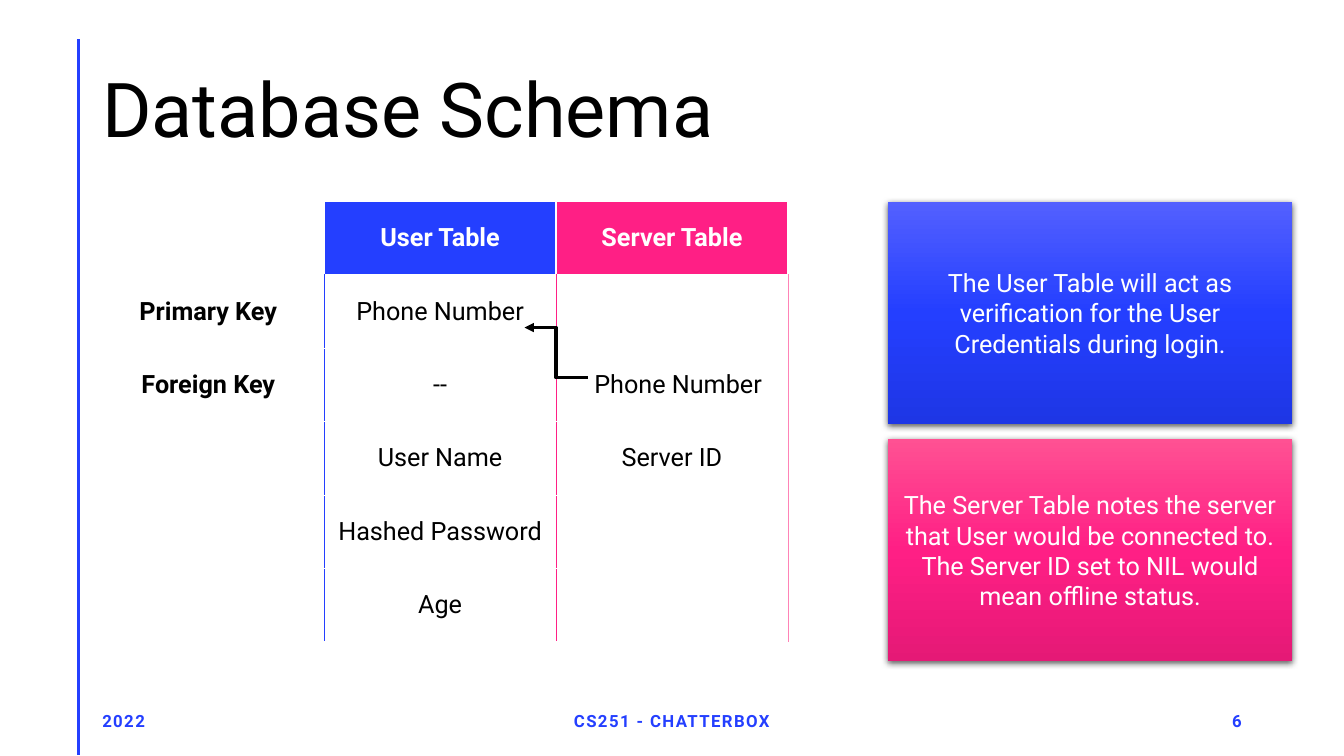
from copy import deepcopy
from dataclasses import dataclass

from lxml import etree
from pptx import Presentation
from pptx.dml.color import RGBColor
from pptx.enum.shapes import MSO_CONNECTOR, MSO_SHAPE
from pptx.enum.text import MSO_ANCHOR, PP_ALIGN
from pptx.oxml.ns import qn
from pptx.util import Pt

STRAIGHT, ELBOW = MSO_CONNECTOR.STRAIGHT, MSO_CONNECTOR.ELBOW
RECTANGLE = MSO_SHAPE.RECTANGLE
MIDDLE = MSO_ANCHOR.MIDDLE
LEFT, CENTER, RIGHT = PP_ALIGN.LEFT, PP_ALIGN.CENTER, PP_ALIGN.RIGHT


@dataclass(frozen=True)
class Theme:
    font: str = "Roboto"
    title_size: int = 54
    body_size: int = 18
    footer_size: int = 12
    black: str = "000000"
    white: str = "FFFFFF"
    blue: str = "243FFF"
    pink: str = "FF1F85"
    light_pink: str = "FF83B6"
    blue_gradient: tuple = ("5360FF", "243FFF", "1E36E5")
    pink_gradient: tuple = ("FF5193", "FF1F85", "E51976")


THEME = Theme()

SCHEMA = [
    ("", "User Table", "Server Table"),
    ("Primary Key", "Phone Number", ""),
    ("Foreign Key", "--", "Phone Number"),
    ("", "User Name", "Server ID"),
    ("", "Hashed Password", ""),
    ("", "Age", ""),
]
NOTES = [
    ("The User Table will act as verification for the User Credentials during login.",
     THEME.blue_gradient),
    ("The Server Table notes the server that User would be connected to. "
     "The Server ID set to NIL would mean offline status.", THEME.pink_gradient),
]


def write(frame, text, size, color, align=LEFT, bold=False):
    """Put one paragraph of formatted text into a frame."""
    frame.text = text
    paragraph = frame.paragraphs[0]
    paragraph.alignment = align
    for run in paragraph.runs:
        run.font.name = THEME.font
        run.font.size = Pt(size)
        run.font.bold = bold
        run.font.color.rgb = RGBColor.from_string(color)
    return paragraph


def add_label(slide, box, text, size, color, align=LEFT, bold=False):
    frame = slide.shapes.add_textbox(*map(Pt, box)).text_frame
    frame.word_wrap = True
    frame.vertical_anchor = MIDDLE
    return write(frame, text, size, color, align, bold)


def add_line(slide, kind, start, end, color, width):
    line = slide.shapes.add_connector(kind, *map(Pt, start + end))
    line.line.color.rgb = RGBColor.from_string(color)
    line.line.width = Pt(width)
    etree.SubElement(line._element.spPr, qn("a:effectLst"))
    return line


def add_color(parent, color):
    return etree.SubElement(parent, qn("a:srgbClr"), val=color)


def set_borders(cell, borders):
    """Draw borders given as {side: (colour, width)}, in the order L, R, T, B."""
    properties = cell._tc.get_or_add_tcPr()
    for side in "LRTB":
        if side in borders:
            color, width = borders[side]
            border = etree.SubElement(properties, qn("a:ln" + side), w=str(Pt(width)))
            add_color(etree.SubElement(border, qn("a:solidFill")), color)


def cell_borders(row, column):
    """Column rules below the header, white gaps between the lower rows."""
    if row == 0:
        return {}
    rules = [(THEME.white, 1), (THEME.blue, 0.5), (THEME.pink, 0.25), (THEME.light_pink, 0.25)]
    borders = {"L": rules[column], "R": rules[column + 1]}
    if row > 1:
        borders["B"] = (THEME.white, 1)
    if row > 2:
        borders["T"] = (THEME.white, 1)
    return borders


def add_heading(slide, box):
    left, top, width, height = box
    # Accent rule beside the title, running down to the slide's bottom
    add_line(slide, STRAIGHT, (left - 10, top - 0.7), (left - 10, 539.3), THEME.blue, 2)
    title = add_label(slide, box, "Database Schema", THEME.title_size, THEME.black)
    title.line_spacing = 0.9


def add_schema(slide, box):
    left, top, width, height = box
    row_count, column_count = len(SCHEMA), len(SCHEMA[0])
    column_width, row_height = width / column_count, height / row_count
    schema = slide.shapes.add_table(row_count, column_count, *map(Pt, box)).table
    schema.first_row = schema.horz_banding = False
    for column in schema.columns:
        column.width = Pt(column_width)
    for row in schema.rows:
        row.height = Pt(row_height)

    # Cells: header fills, bold header row and key column
    header_fills = {1: THEME.blue, 2: THEME.pink}
    for r, values in enumerate(SCHEMA):
        for c, value in enumerate(values):
            cell = schema.cell(r, c)
            set_borders(cell, cell_borders(r, c))
            cell.vertical_anchor = MIDDLE
            if r == 0 and c in header_fills:
                cell.fill.solid()
                cell.fill.fore_color.rgb = RGBColor.from_string(header_fills[c])
            else:
                cell.fill.background()
            write(cell.text_frame, value, THEME.body_size,
                  THEME.white if r == 0 else THEME.black, CENTER, r == 0 or c == 0)
    # Room for the arrow in front of the foreign key
    schema.cell(2, 2).margin_left = Pt(16)

    # Foreign key points to primary key, bending on the column boundary
    boundary = left + 2 * column_width
    reference = add_line(slide, ELBOW, (boundary + 22.5, top + 126),
                         (boundary - 22.5, top + 90), THEME.black, 2.25)
    etree.SubElement(reference.line._get_or_add_ln(), qn("a:tailEnd"), type="triangle")


def add_note(slide, box, text, gradient):
    note = slide.shapes.add_shape(RECTANGLE, *map(Pt, box))
    note.line.fill.background()

    # Three-stop gradient from top to bottom
    note.fill.gradient()
    note.fill.gradient_angle = 270
    stops = note._element.spPr.find(".//" + qn("a:gsLst"))
    stops.append(deepcopy(stops[0]))
    for stop, color, position in zip(note.fill.gradient_stops, gradient, (0, 0.5, 1)):
        stop.color.rgb = RGBColor.from_string(color)
        stop.position = position

    # Soft shadow below
    note.shadow.inherit = False
    effects = note._element.spPr.find(qn("a:effectLst"))
    shadow = etree.SubElement(effects, qn("a:outerShdw"), blurRad=str(Pt(4.5)),
                              dist=str(Pt(1.5)), dir="5400000", algn="ctr", rotWithShape="0")
    etree.SubElement(add_color(shadow, THEME.black), qn("a:alpha"), val="63000")

    note.text_frame.word_wrap = True
    note.text_frame.vertical_anchor = MIDDLE
    write(note.text_frame, text, THEME.body_size, THEME.white, CENTER)


def add_notes(slide, box, gap=10.4):
    left, top, width, height = box
    note_height = (height - gap * (len(NOTES) - 1)) / len(NOTES)
    for i, (text, gradient) in enumerate(NOTES):
        note_top = top + i * (note_height + gap)
        add_note(slide, (left, note_top, width, note_height), text, gradient)


def add_footer(slide, box):
    left, top, width, height = box
    side, middle = 216, 324
    parts = [
        ("2022", left, side, LEFT),
        ("CS251 - CHATTERBOX", left + (width - middle) / 2, middle, CENTER),
        ("6", left + width - side, side, RIGHT),
    ]
    for text, part_left, part_width, align in parts:
        paragraph = add_label(slide, (part_left, top, part_width, height), text,
                              THEME.footer_size, THEME.blue, align, True)
        paragraph.runs[0].font._element.set("spc", "100")


def main():
    deck = Presentation()
    deck.slide_width, deck.slide_height = Pt(960), Pt(540)
    slide = deck.slides.add_slide(deck.slide_layouts[6])
    add_heading(slide, (66, 28.8, 828, 104.4))
    add_schema(slide, (66, 144, 496.8, 314.64))
    add_notes(slide, (634.3, 144, 288.7, 328.4))
    add_footer(slide, (66, 500.4, 828, 28.8))
    deck.save("out.pptx")


if __name__ == "__main__":
    main()
